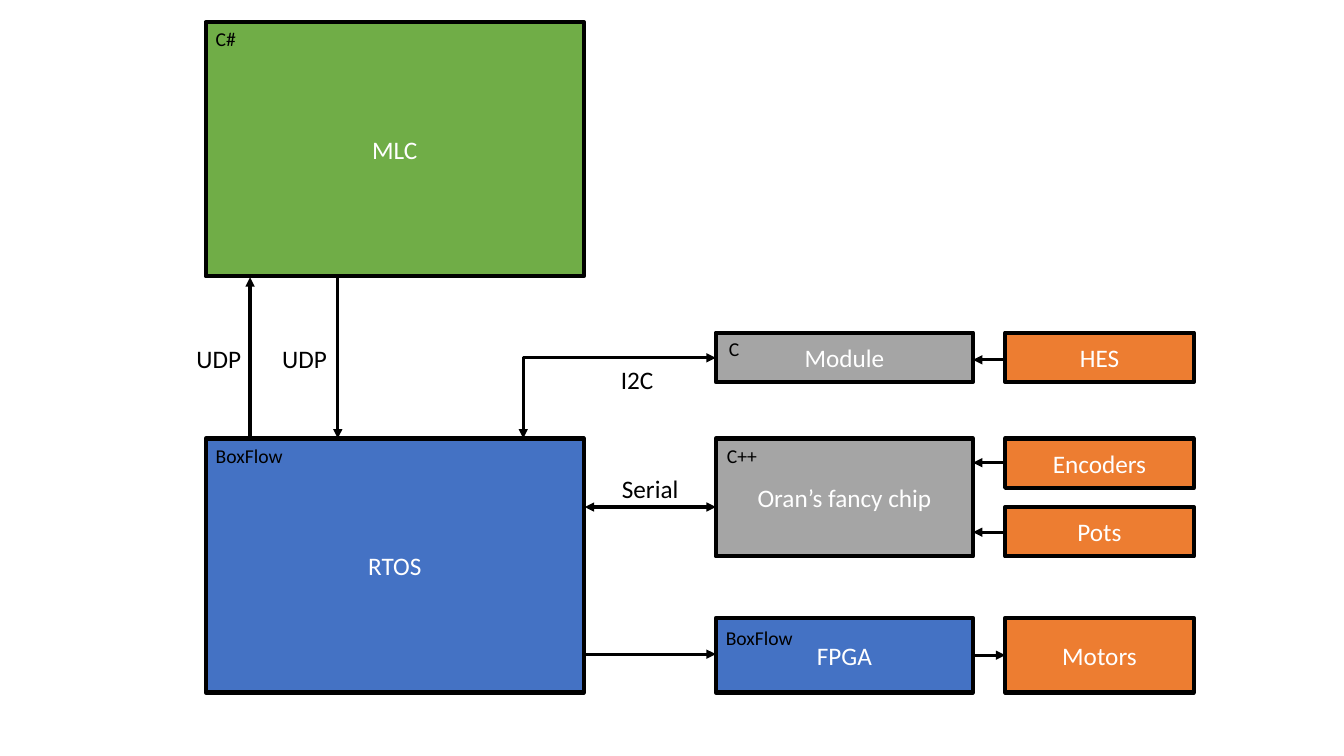
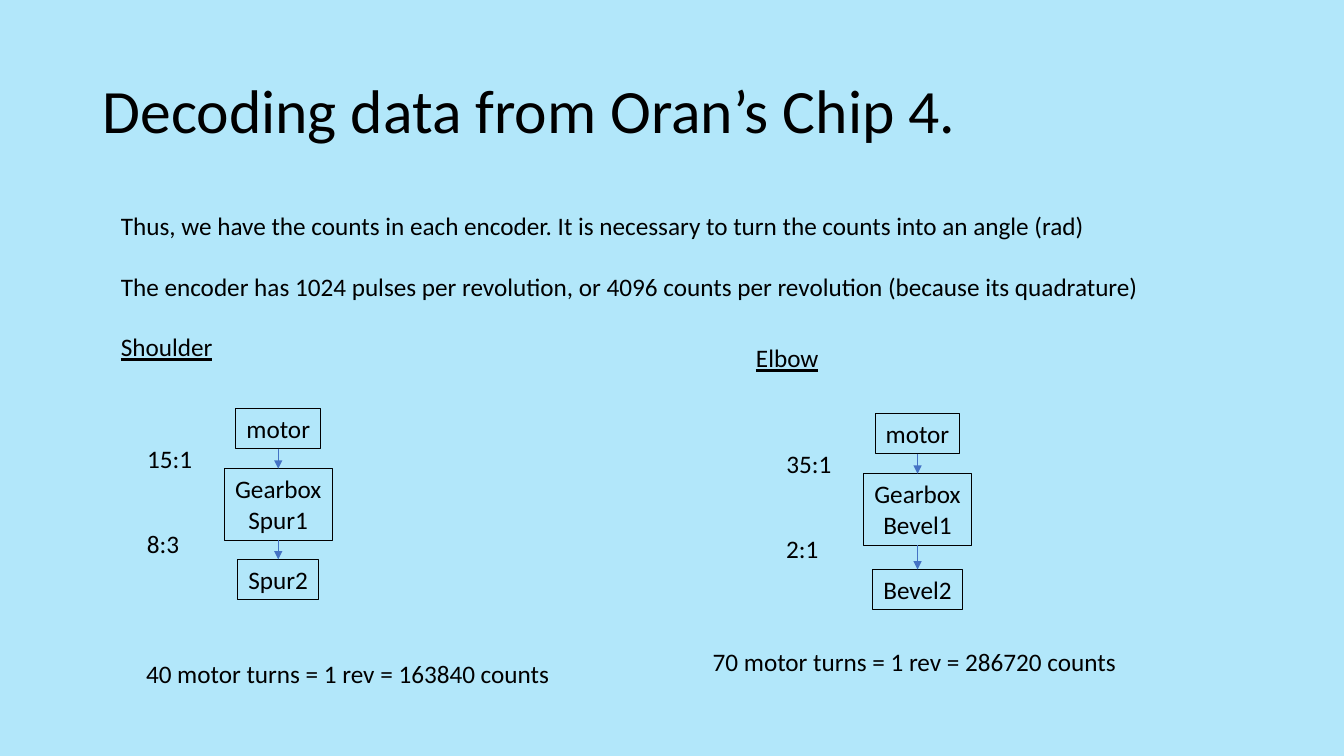
from lxml import etree
from pptx import Presentation
from pptx.dml.color import RGBColor
from pptx.enum.shapes import MSO_CONNECTOR, MSO_SHAPE
from pptx.enum.text import MSO_ANCHOR, PP_ALIGN
from pptx.oxml.ns import qn
from pptx.util import Inches, Pt

RECT = MSO_SHAPE.RECTANGLE
STRAIGHT, ELBOW = MSO_CONNECTOR.STRAIGHT, MSO_CONNECTOR.ELBOW
LEFT, CENTER = PP_ALIGN.LEFT, PP_ALIGN.CENTER
TOP, MIDDLE = MSO_ANCHOR.TOP, MSO_ANCHOR.MIDDLE


class Theme:
    font = "Calibri"
    black = RGBColor.from_string("000000")
    white = RGBColor.from_string("FFFFFF")
    blue = RGBColor.from_string("4472C4")
    green = RGBColor.from_string("70AD47")
    gray = RGBColor.from_string("A5A5A5")
    orange = RGBColor.from_string("ED7D31")
    sky = RGBColor.from_string("B2E7FA")
    title, body, small = 44, 18, 14
    thick, flow, thin, hair = 3, 2.25, 0.75, 0.5


def write(slide, text, box, size=Theme.body, color=Theme.black, align=LEFT,
          anchor=TOP, wrap=False, under=None, space=None, fill=None, line=None):
    place = [Inches(n) for n in box]
    if line:
        shape = slide.shapes.add_shape(RECT, *place)
        shape.shadow.inherit = False
        shape.line.color.rgb = Theme.black
        shape.line.width = Pt(line)
        if fill is None:
            shape.fill.background()
        else:
            shape.fill.solid()
            shape.fill.fore_color.rgb = fill
    else:
        shape = slide.shapes.add_textbox(*place)
    frame = shape.text_frame
    frame.word_wrap = wrap
    frame.vertical_anchor = anchor
    frame.text = text
    for para in frame.paragraphs:
        para.alignment = align
        para.line_spacing = space
        for run in para.runs:
            font = run.font
            font.name = Theme.font
            font.size = Pt(size)
            font.color.rgb = color
            font.underline = under


def link(slide, start, end, color=Theme.black, width=Theme.flow, kind=STRAIGHT,
         ends=("tailEnd",)):
    ends_at = [Inches(n) for n in start + end]
    wire = slide.shapes.add_connector(kind, *ends_at)
    wire.line.color.rgb = color
    wire.line.width = Pt(width)
    props = wire._element.spPr
    for end_tag in ends:
        etree.SubElement(props.find(qn("a:ln")), qn("a:" + end_tag), type="triangle")
    etree.SubElement(props, qn("a:effectLst"))
    if kind == ELBOW:
        guides = props.find(qn("a:prstGeom")).find(qn("a:avLst"))
        etree.SubElement(guides, qn("a:gd"), name="adj1", fmla="val 100000")


deck = Presentation()
deck.slide_width = Inches(13.33)
deck.slide_height = Inches(7.5)
blank = deck.slide_layouts[6]

flow = deck.slides.add_slide(blank)
core, chip, part = (2.04, 3.75), (7.1, 2.55), (9.97, 1.87)
core_end, chip_end = 5.8, 9.65
blocks = [
    ("MLC", core, 0.22, 2.52, Theme.green),
    ("RTOS", core, 4.35, 2.52, Theme.blue),
    ("Module", chip, 3.3, 0.49, Theme.gray),
    ("Oran’s fancy chip", chip, 4.35, 1.17, Theme.gray),
    ("FPGA", chip, 6.13, 0.74, Theme.blue),
    ("HES", part, 3.3, 0.49, Theme.orange),
    ("Encoders", part, 4.35, 0.49, Theme.orange),
    ("Pots", part, 5.03, 0.49, Theme.orange),
    ("Motors", part, 6.13, 0.74, Theme.orange),
]
for name, (left, width), top, height, fill in blocks:
    write(flow, name, (left, top, width, height), color=Theme.white, align=CENTER,
          anchor=MIDDLE, wrap=True, fill=fill, line=Theme.thick)

for y in (3.57, 4.59, 5.28):
    link(flow, (part[0], y), (chip_end, y))
link(flow, (chip_end, 6.5), (part[0], 6.5))
link(flow, (core_end, 6.49), (chip[0], 6.49))
link(flow, (2.48, 4.35), (2.48, 2.75))
link(flow, (3.35, 2.75), (3.35, 4.35))
both = ("headEnd", "tailEnd")
link(flow, (core_end, 5.03), (chip[0], 5.03), ends=both)
link(flow, (chip[0], 3.55), (5.19, 4.35), kind=ELBOW, ends=both)

for name, left, top, width in [
    ("UDP", 1.85, 3.36, 0.65),
    ("UDP", 2.7, 3.36, 0.65),
    ("I2C", 6.06, 3.57, 0.53),
    ("Serial", 6.07, 4.65, 0.77),
]:
    write(flow, name, (left, top, width, 0.4))

for name, left, top, width in [
    ("C#", 2.04, 0.22, 0.59),
    ("BoxFlow", 2.04, 4.36, 1.42),
    ("BoxFlow", 7.1, 6.16, 1.42),
    ("C", 7.13, 3.29, 0.59),
    ("C++", 7.11, 4.35, 0.59),
]:
    write(flow, name, (left, top, width, 0.34), size=Theme.small, wrap=True)

gears = deck.slides.add_slide(blank)
gears.background.fill.solid()
gears.background.fill.fore_color.rgb = Theme.sky
write(gears, "Decoding data from Oran’s Chip 4.", (0.92, 0.4, 11.5, 1.45),
      size=Theme.title, anchor=MIDDLE, wrap=True, space=0.9)
write(gears, "Thus, we have the counts in each encoder. "
      "It is necessary to turn the counts into an angle (rad)", (1.1, 2.04, 9.8, 0.4))
write(gears, "The encoder has 1024 pulses per revolution, "
      "or 4096 counts per revolution (because its quadrature)", (1.1, 2.64, 10.35, 0.4))

joints = [
    ("Shoulder", (1.1, 3.24, 1.12, 0.4), 2.76, 4.05, 5.55, "Spur", 0.8,
     ("15:1", "8:3"), "40 motor turns = 1 rev = 163840 counts", (1.35, 6.48, 4.25, 0.4)),
    ("Elbow", (7.4, 3.35, 0.83, 0.4), 9.1, 4.1, 5.65, "Bevel", 0.89,
     ("35:1", "2:1"), "70 motor turns = 1 rev = 286720 counts", (6.97, 6.36, 4.25, 0.4)),
]
for joint, head, mid, top, last, gear, width, ratios, total, foot in joints:
    write(gears, joint, head, under=True)
    steps = [
        ("motor", top, 0.84, 0.4),
        (f"Gearbox\n{gear}1", top + 0.6, 1.07, 0.71),
        (f"{gear}2", last, width, 0.4),
    ]
    for name, y, wide, high in steps:
        write(gears, name, (mid - wide / 2, y, wide, high), align=CENTER, line=Theme.thin)
    for above, below in zip(steps, steps[1:]):
        link(gears, (mid, above[1] + above[3]), (mid, below[1]),
             color=Theme.blue, width=Theme.hair)
    for ratio, drop, wide in zip(ratios, (0.3, 1.14), (0.65, 0.53)):
        write(gears, ratio, (mid - 1.4, top + drop, wide, 0.4))
    write(gears, total, foot)

deck.save("out.pptx")
